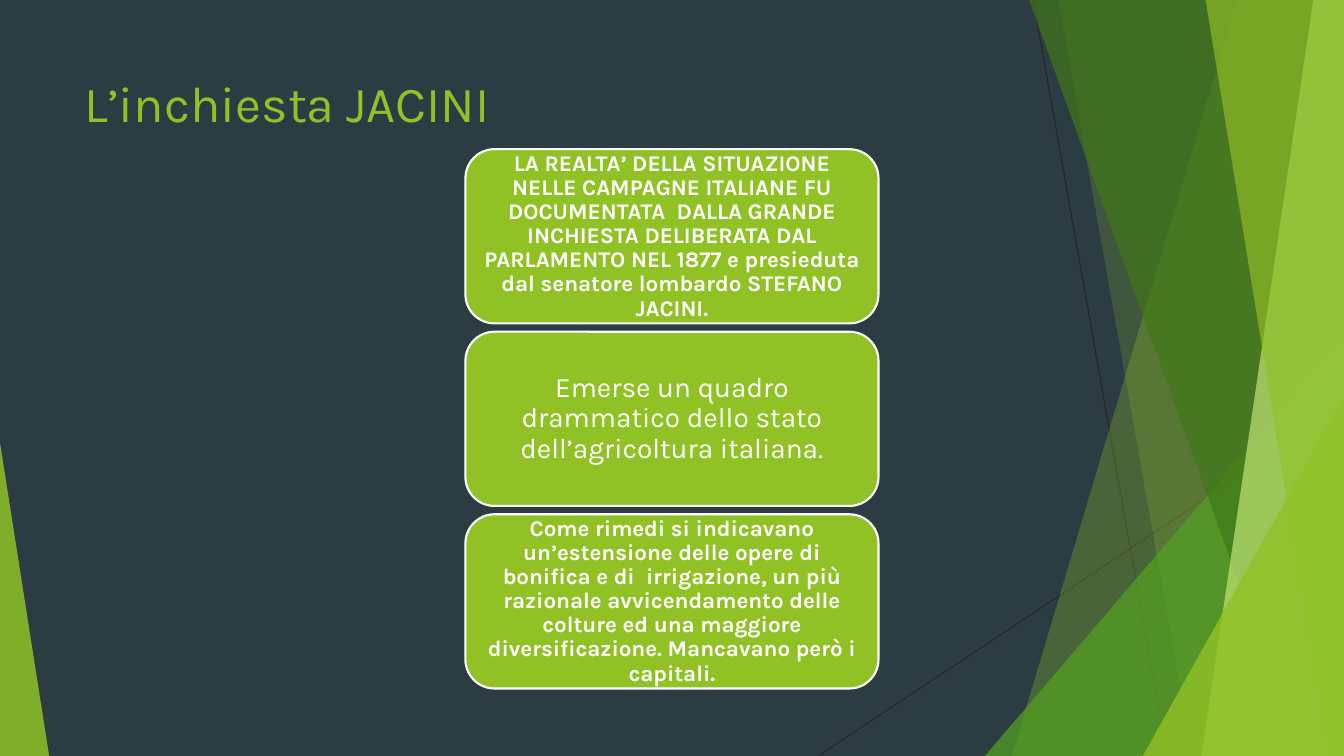
from dataclasses import dataclass

from lxml import etree
from pptx import Presentation
from pptx import util as u
from pptx.dml import color
from pptx.enum import shapes, text
from pptx.oxml import ns

WIDTH, HEIGHT, TOP = 33.87, 19.05, -0.02
GREEN, WHITE, DARK, SLATE = "90C226", "FFFFFF", "262626", "2C3C43"
FONT = "Karla"


@dataclass
class Line:
    x1: float
    y1: float
    x2: float
    y2: float


@dataclass
class Facet:
    """Slanted panel running from its left edge to the right of the page."""
    top_x: float
    bottom_x: float
    fill: str
    opacity: int


@dataclass
class Triangle:
    left: float
    top: float
    width: float
    apex: float
    fill: str
    opacity: int


@dataclass
class Card:
    words: str
    size: int
    bold: bool
    inset: float


DECOR = [
    Line(26.04, 0, 29.41, HEIGHT),
    Line(WIDTH, 10.24, 20.62, HEIGHT),
    Facet(31.19, 25.5, GREEN, 30),
    Facet(26.67, 30.05, GREEN, 20),
    Triangle(24.82, 8.46, 9.05, 1, "54A021", 72),
    Facet(25.93, 32.79, "3F7819", 70),
    Facet(33.1, 30.28, "C0E474", 70),
    Facet(30.38, 33.48, GREEN, 65),
    Triangle(28.8, 9.98, 5.07, 1, GREEN, 80),
    Triangle(0, 11.15, 1.24, 0, GREEN, 85),
]

CARDS = [
    Card("LA REALTA’ DELLA SITUAZIONE NELLE CAMPAGNE ITALIANE FU DOCUMENTATA  DALLA GRANDE "
         "INCHIESTA DELIBERATA DAL PARLAMENTO NEL 1877 e presieduta dal senatore lombardo "
         "STEFANO JACINI.", 16, True, 0.17),
    Card("Emerse un quadro drammatico dello stato dell’agricoltura italiana.", 20, False, 0.2),
    Card("Come rimedi si indicavano un’estensione delle opere di bonifica e di  irrigazione, "
         "un più razionale avvicendamento delle colture ed una maggiore diversificazione. "
         "Mancavano però i capitali.", 16, True, 0.17),
]
CARD_LEFT, CARD_TOP, CARD_WIDTH, CARD_HEIGHT, CARD_STEP = 11.73, 3.76, 10.41, 4.39, 4.6


def paint(fill, value: str, opacity: int = 100) -> None:
    fill.solid()
    fill.fore_color.rgb = color.RGBColor.from_string(value)
    if opacity < 100:
        # The alpha element belongs to the colour just set
        tone = fill._xPr.find(".//" + ns.qn("a:srgbClr"))
        etree.SubElement(tone, ns.qn("a:alpha"), val=str(opacity * 1000))


def write(shape, words: str, *, size: int, tint: str, bold: bool = False,
          align=text.PP_ALIGN.LEFT, anchor=text.MSO_ANCHOR.TOP, spacing: float = 1.0) -> None:
    frame = shape.text_frame
    frame.word_wrap = True
    frame.auto_size = text.MSO_AUTO_SIZE.NONE
    frame.vertical_anchor = anchor
    para = frame.paragraphs[0]
    para.alignment = align
    para.line_spacing = spacing
    span = para.add_run()
    span.text = words
    span.font.name = FONT
    span.font.size = u.Pt(size)
    span.font.bold = bold
    span.font.color.rgb = color.RGBColor.from_string(tint)


def draw_line(page, line: Line) -> None:
    rule = page.shapes.add_connector(shapes.MSO_CONNECTOR.STRAIGHT, u.Cm(line.x1),
                                     u.Cm(line.y1), u.Cm(line.x2), u.Cm(line.y2))
    paint(rule.line.fill, DARK)
    rule.line.width = u.Pt(0.75)
    etree.SubElement(rule._element.spPr, ns.qn("a:effectLst"))


def draw_facet(page, facet: Facet) -> None:
    corners = [(WIDTH, TOP), (WIDTH, HEIGHT), (facet.bottom_x, HEIGHT)]
    outline = page.shapes.build_freeform(u.Cm(facet.top_x), u.Cm(TOP))
    outline.add_line_segments([(u.Cm(x), u.Cm(y)) for x, y in corners])
    finish(outline.convert_to_shape(), facet)


def draw_triangle(page, triangle: Triangle) -> None:
    shape = page.shapes.add_shape(
        shapes.MSO_SHAPE.ISOSCELES_TRIANGLE, u.Cm(triangle.left), u.Cm(triangle.top),
        u.Cm(triangle.width), u.Cm(HEIGHT - triangle.top))
    shape.adjustments[0] = triangle.apex
    finish(shape, triangle)


def finish(shape, look: Facet | Triangle) -> None:
    shape.shadow.inherit = False
    paint(shape.fill, look.fill, look.opacity)
    shape.line.fill.background()


def draw_card(page, card: Card, row: int) -> None:
    box = page.shapes.add_shape(
        shapes.MSO_SHAPE.ROUNDED_RECTANGLE, u.Cm(CARD_LEFT), u.Cm(CARD_TOP + row * CARD_STEP),
        u.Cm(CARD_WIDTH), u.Cm(CARD_HEIGHT))
    box.shadow.inherit = False
    paint(box.fill, GREEN)
    paint(box.line.fill, WHITE)
    box.line.width = u.Pt(1.5)
    frame = box.text_frame
    frame.margin_left = frame.margin_right = u.Cm(card.inset)
    frame.margin_top = frame.margin_bottom = u.Cm(card.inset / 2)
    write(box, card.words, size=card.size, tint=WHITE, bold=card.bold,
          align=text.PP_ALIGN.CENTER, anchor=text.MSO_ANCHOR.MIDDLE, spacing=0.9)


def main() -> None:
    deck = Presentation()
    deck.slide_width, deck.slide_height = u.Cm(WIDTH), u.Cm(HEIGHT)
    page = deck.slides.add_slide(deck.slide_layouts[5])
    paint(page.background.fill, SLATE)

    # Green panels and thin lines at the edges
    draw = {Line: draw_line, Facet: draw_facet, Triangle: draw_triangle}
    for part in DECOR:
        draw[type(part)](page, part)

    # Title, in front of the panels
    title = page.shapes.title
    title.left, title.top, title.width, title.height = map(u.Cm, (1.88, 1.7, 23.88, 3.66))
    write(title, "L’inchiesta JACINI", size=36, tint=GREEN)
    page.shapes._spTree.append(title._element)

    # Column of cards
    for row, card in enumerate(CARDS):
        draw_card(page, card, row)

    deck.save("out.pptx")


if __name__ == "__main__":
    main()
